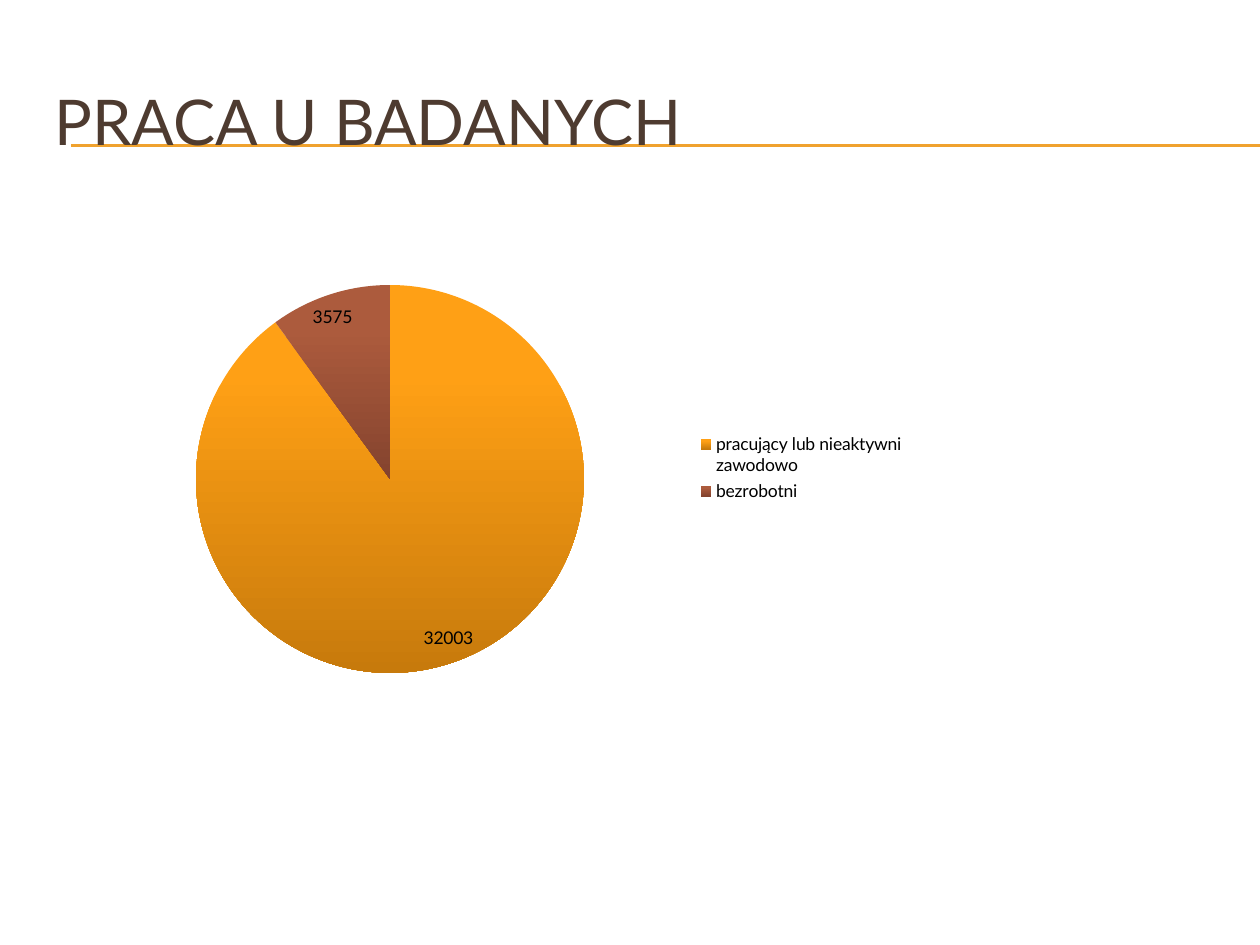
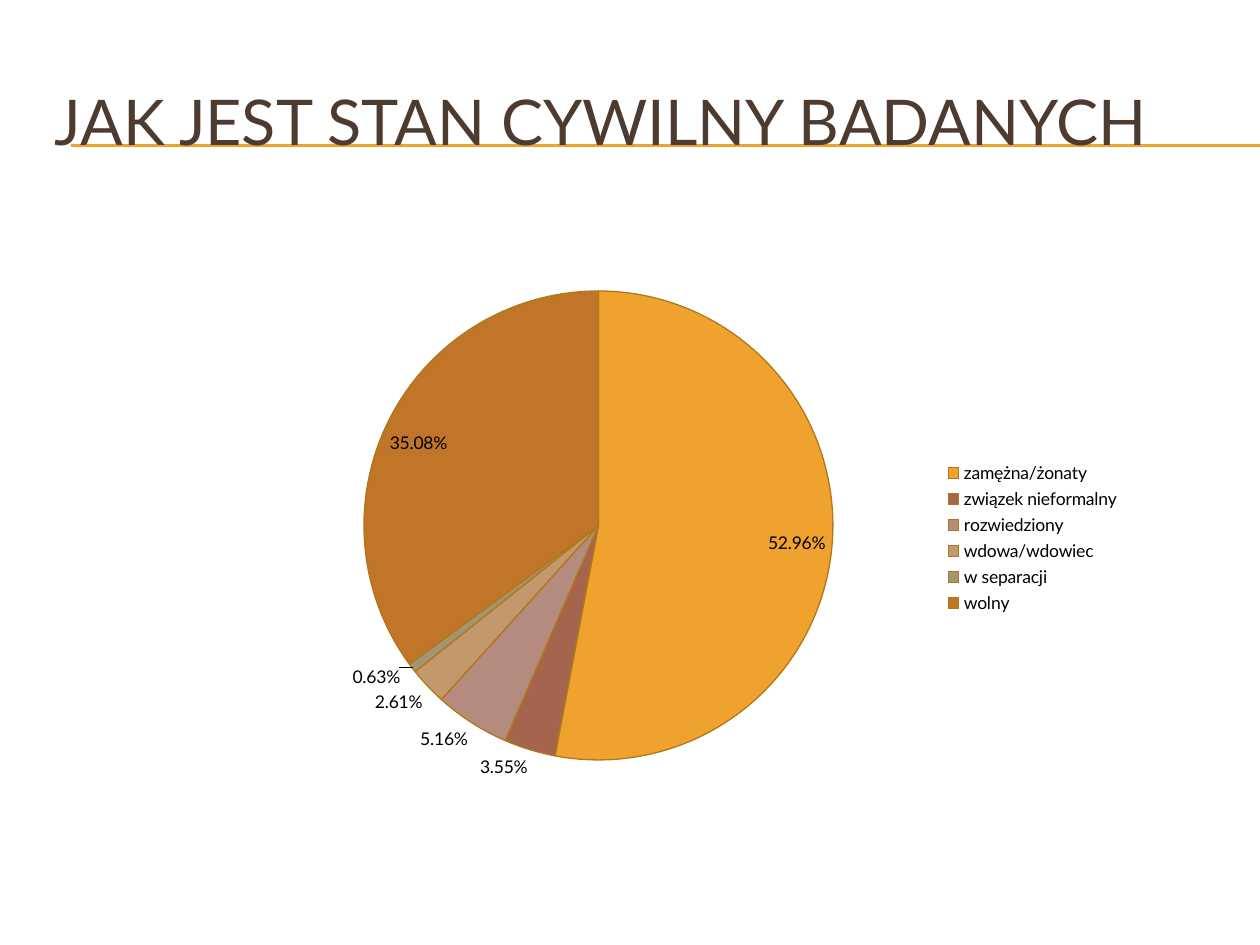
"""Two slides with pie charts on the work and marital status of respondents."""
from dataclasses import dataclass

from lxml import etree
from pptx import Presentation
from pptx.chart import data
from pptx.dml import color
from pptx.enum import chart as kinds, shapes, text
from pptx.oxml import ns
from pptx.util import Pt


@dataclass(frozen=True)
class Theme:
    font: str = "Lato"
    title_size: float = 36
    chart_size: float = 10
    title: str = "4E3B30"
    rule: str = "F0A22E"
    label: str = "000000"
    outline: str = "B07818"


THEME = Theme()
WIDTH, HEIGHT = 720, 540
TITLE_BOX = (24, 36, 684, 66)
RULE_LEFT, RULE_TOPS = 40.5, (82.8, 83.5)
GRADIENT_STOPS = (0.23, 1)

SLIDES = [
    {
        "title": "PRACA U BADANYCH",
        "box": (48.25, 139.7, 476, 255),
        "pie": (112, 162.9, 221.7),
        "number_format": "General",
        "slices": [
            ("pracujący lub nieaktywni zawodowo", 32003, ("FFA015", "C77A0C")),
            ("bezrobotni", 3575, ("AC5B3D", "84432E")),
        ],
    },
    {
        "title": "JAK JEST STAN CYWILNY BADANYCH",
        "box": (127.45, 157, 520, 301),
        "pie": (208, 166.3, 268),
        "number_format": "0.00%",
        "slices": [
            ("zamężna/żonaty", 0.5296, ("F0A22E",)),
            ("związek nieformalny", 0.0355, ("A5644E",)),
            ("rozwiedziony", 0.0516, ("B58B80",)),
            ("wdowa/wdowiec", 0.0261, ("C3986D",)),
            ("w separacji", 0.0063, ("A19574",)),
            ("wolny", 0.3508, ("C17529",)),
        ],
    },
]


def rgb(value):
    return color.RGBColor.from_string(value)


def apply(target, values):
    for name, value in values.items():
        setattr(target, name, value)


def style_font(font, size, hue):
    apply(font, {"name": THEME.font, "size": Pt(size), "bold": False})
    font.color.rgb = rgb(hue)


def add_rules(slide):
    for top in RULE_TOPS:
        rule = slide.shapes.add_connector(
            shapes.MSO_CONNECTOR.STRAIGHT, Pt(RULE_LEFT), Pt(top), Pt(WIDTH), Pt(top))
        rule.line.width = Pt(0.75)
        rule.line.color.rgb = rgb(THEME.rule)
        etree.SubElement(rule.element.spPr, ns.qn("a:effectLst"))


def add_title(slide, wording):
    frame = slide.shapes.add_textbox(*map(Pt, TITLE_BOX)).text_frame
    apply(frame, {"word_wrap": True, "vertical_anchor": text.MSO_ANCHOR.MIDDLE})
    run = frame.paragraphs[0].add_run()
    run.text = wording
    style_font(run.font, THEME.title_size, THEME.title)


def place_pie(chart, box, pie):
    left, top, width, height = box
    pie_left, pie_top, diameter = pie
    area = chart.element.find(".//" + ns.qn("c:plotArea"))
    layout = area.find(ns.qn("c:layout"))
    if layout is None:
        layout = etree.Element(ns.qn("c:layout"))
        area.insert(0, layout)
    manual = etree.SubElement(layout, ns.qn("c:manualLayout"))
    settings = {
        "layoutTarget": "inner", "xMode": "edge", "yMode": "edge",
        "x": (pie_left - left) / width, "y": (pie_top - top) / height,
        "w": diameter / width, "h": diameter / height,
    }
    for tag, value in settings.items():
        etree.SubElement(manual, ns.qn("c:" + tag), val=str(value))


def paint_slice(look, hues):
    if len(hues) == 1:
        look.fill.solid()
        look.fill.fore_color.rgb = rgb(hues[0])
        look.line.width = Pt(0.75)
        look.line.color.rgb = rgb(THEME.outline)
        return
    look.fill.gradient()
    look.fill.gradient_angle = 270
    for stop, position, hue in zip(look.fill.gradient_stops, GRADIENT_STOPS, hues):
        stop.position = position
        stop.color.rgb = rgb(hue)
    look.line.fill.background()


def add_pie(slide, content):
    categories, values, colours = zip(*content["slices"])
    figures = data.CategoryChartData(number_format=content["number_format"])
    figures.categories = categories
    figures.add_series("Series 1", values)
    chart = slide.shapes.add_chart(
        kinds.XL_CHART_TYPE.PIE, *map(Pt, content["box"]), figures).chart
    apply(chart, {"has_title": False, "has_legend": True})
    apply(chart.legend, {"position": kinds.XL_LEGEND_POSITION.RIGHT,
                         "include_in_layout": False})
    style_font(chart.font, THEME.chart_size, THEME.label)
    place_pie(chart, content["box"], content["pie"])

    plot = chart.plots[0]
    plot.vary_by_categories = True
    series = plot.series[0]
    for index, hues in enumerate(colours):
        paint_slice(series.points[index].format, hues)
    apply(series.data_labels, {
        "show_value": True,
        "show_percentage": False,
        "number_format": content["number_format"],
        "number_format_is_linked": False,
        "position": kinds.XL_LABEL_POSITION.BEST_FIT,
    })


def main():
    deck = Presentation()
    apply(deck, {"slide_width": Pt(WIDTH), "slide_height": Pt(HEIGHT)})
    for content in SLIDES:
        slide = deck.slides.add_slide(deck.slide_layouts[6])
        add_rules(slide)
        add_title(slide, content["title"])
        add_pie(slide, content)
    deck.save("out.pptx")


if __name__ == "__main__":
    main()
